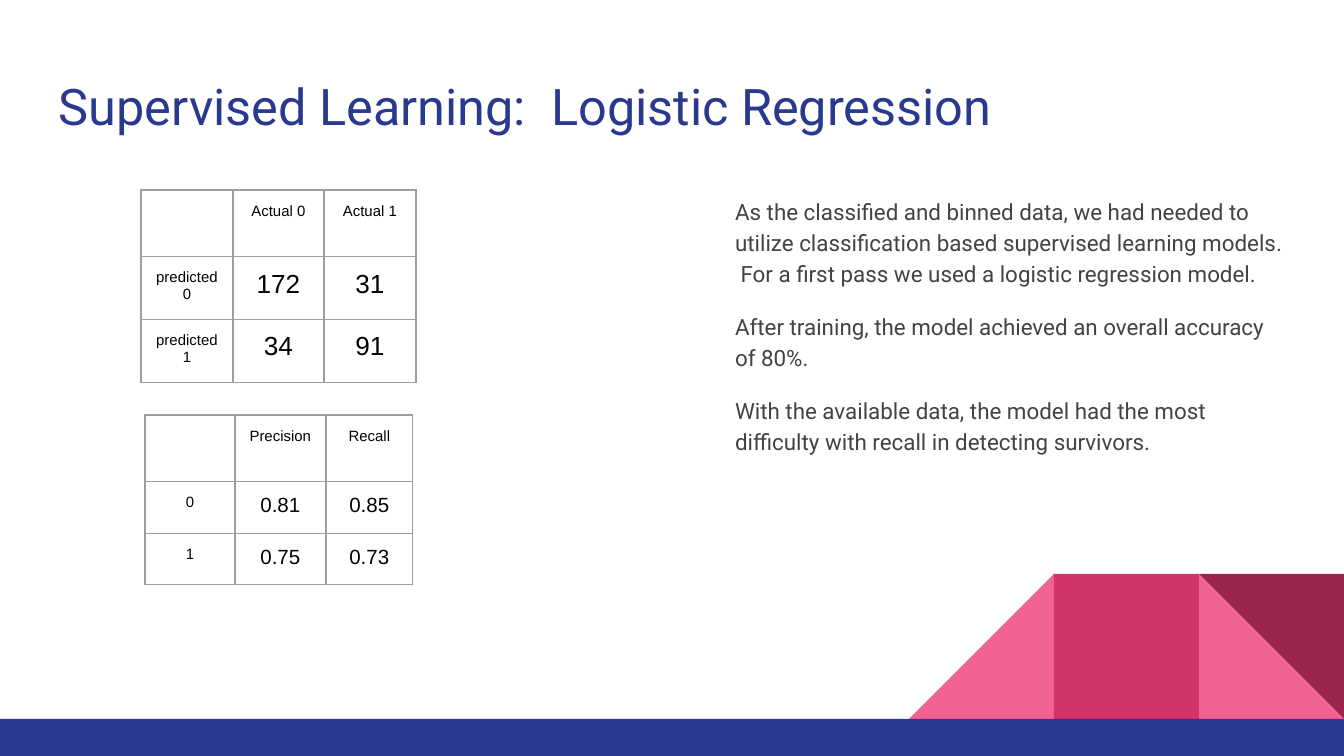
from dataclasses import dataclass

from lxml.etree import SubElement
from pptx import Presentation
from pptx.dml.color import RGBColor
from pptx.enum.shapes import MSO_SHAPE
from pptx.enum.text import MSO_ANCHOR, PP_ALIGN
from pptx.oxml.ns import qn
from pptx.util import Emu, Pt

EMU_PER_PX = 914400 / 134.4
INSET = 13


@dataclass(frozen=True)
class Theme:
    navy: str = "2A3990"
    pink: str = "F06292"
    rose: str = "D23369"
    wine: str = "9C254D"
    body: str = "434343"
    black: str = "000000"
    grid: str = "9E9E9E"
    text_font: str = "Roboto"
    table_font: str = "Arial"
    title_size: int = 27
    body_size: int = 12
    label_size: int = 8
    count_size: int = 14
    score_size: int = 11


THEME = Theme()

TITLE = "Supervised Learning:  Logistic Regression"
FINDINGS = [
    "As the classified and binned data, we had needed to utilize classification "
    "based supervised learning models.  For a first pass we used a logistic "
    "regression model.",
    "After training, the model achieved an overall accuracy of 80%.",
    "With the available data, the model had the most difficulty with recall in "
    "detecting survivors.",
]
CONFUSION = [
    ["", "Actual 0", "Actual 1"],
    ["predicted 0", "172", "31"],
    ["predicted 1", "34", "91"],
]
SCORES = [
    ["", "Precision", "Recall"],
    ["0", "0.81", "0.85"],
    ["1", "0.75", "0.73"],
]


def px(length):
    return Emu(round(length * EMU_PER_PX))


def add_run(paragraph, text, font, size, color):
    run = paragraph.add_run()
    run.text = text
    run.font.name = font
    run.font.size = Pt(size)
    run.font.color.rgb = RGBColor.from_string(color)


def set_insets(holder):
    holder.margin_left = holder.margin_right = px(INSET)
    holder.margin_top = holder.margin_bottom = px(INSET)


def add_block(slide, preset, box, color):
    block = slide.shapes.add_shape(preset, *map(px, box))
    block.shadow.inherit = False
    block.fill.solid()
    block.fill.fore_color.rgb = RGBColor.from_string(color)
    block.line.fill.background()
    return block


def add_text(slide, box, paragraphs, size, color, anchor, spacing=1.0, gap=0):
    frame = slide.shapes.add_textbox(*map(px, box)).text_frame
    frame.word_wrap = True
    frame.vertical_anchor = anchor
    set_insets(frame)
    for i, text in enumerate(paragraphs):
        paragraph = frame.add_paragraph() if i else frame.paragraphs[0]
        paragraph.line_spacing = spacing
        paragraph.space_before = Pt(gap if i else 0)
        add_run(paragraph, text, THEME.text_font, size, color)


def add_borders(cell):
    properties = cell._tc.get_or_add_tcPr()
    for position, side in enumerate(("lnL", "lnR", "lnT", "lnB")):
        line = properties.makeelement(qn(f"a:{side}"), {"w": str(Pt(0.75))})
        fill = SubElement(line, qn("a:solidFill"))
        SubElement(fill, qn("a:srgbClr"), val=THEME.grid)
        properties.insert(position, line)


def add_grid(slide, left, top, widths, heights, values, value_size):
    box = (left, top, sum(widths), sum(heights))
    frame = slide.shapes.add_table(len(heights), len(widths), *map(px, box))
    table = frame.table
    table.first_row = table.horz_banding = False
    for column, width in zip(table.columns, widths):
        column.width = px(width)
    for row, height in zip(table.rows, heights):
        row.height = px(height)
    for r, row_values in enumerate(values):
        for c, text in enumerate(row_values):
            cell = table.cell(r, c)
            cell.fill.background()
            set_insets(cell)
            add_borders(cell)
            if text:
                # Headings sit in the first row and the first column
                size = value_size if r and c else THEME.label_size
                paragraph = cell.text_frame.paragraphs[0]
                paragraph.alignment = PP_ALIGN.CENTER
                add_run(paragraph, text, THEME.table_font, size, THEME.black)


def add_footer(slide):
    side, top, right = 145, 574, 1344
    columns = [right - side * n for n in (3, 2, 1)]
    slope, middle, corner = [(left, top, side, side) for left in columns]
    triangle = MSO_SHAPE.RIGHT_TRIANGLE
    add_block(slide, triangle, corner, THEME.pink)
    rising = add_block(slide, triangle, slope, THEME.pink)
    rising._element.spPr.get_or_add_xfrm().set("flipH", "1")
    add_block(slide, MSO_SHAPE.RECTANGLE, middle, THEME.rose)
    add_block(slide, triangle, corner, THEME.wine).rotation = 180
    add_block(slide, MSO_SHAPE.RECTANGLE, (0, top + side, right, 37), THEME.navy)


def main():
    deck = Presentation()
    deck.slide_width, deck.slide_height = px(1344), px(756)
    slide = deck.slides.add_slide(deck.slide_layouts[6])

    # Geometric footer
    add_footer(slide)

    # Title and findings
    add_text(slide, (46, 60, 1253, 89), [TITLE], THEME.title_size, THEME.navy,
             MSO_ANCHOR.BOTTOM)
    add_text(slide, (722, 181, 577, 491), FINDINGS, THEME.body_size, THEME.body,
             MSO_ANCHOR.TOP, spacing=1.15, gap=12)

    # Confusion matrix, then precision and recall by class
    add_grid(slide, 141, 190, [92, 91, 92], [64, 63, 63], CONFUSION,
             THEME.count_size)
    add_grid(slide, 145, 415, [90, 91, 87], [64, 52, 51], SCORES,
             THEME.score_size)

    deck.save("out.pptx")


if __name__ == "__main__":
    main()
